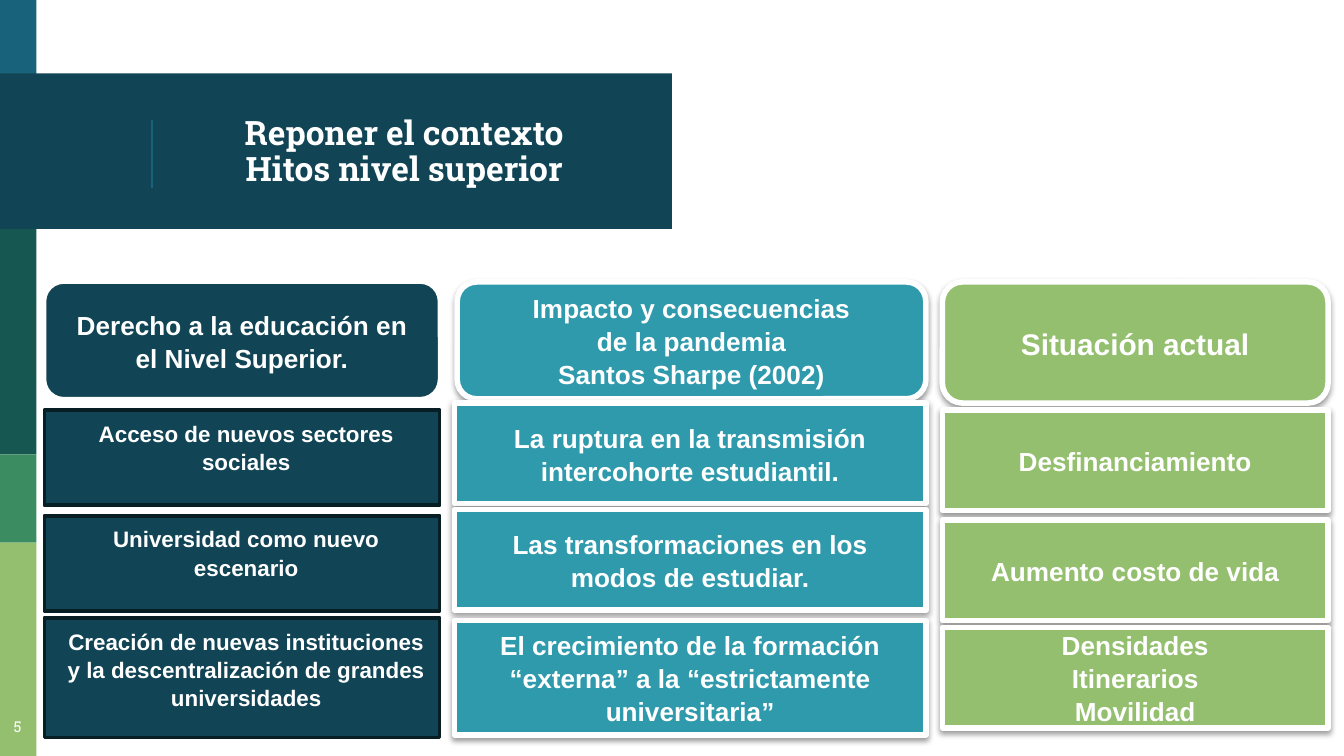
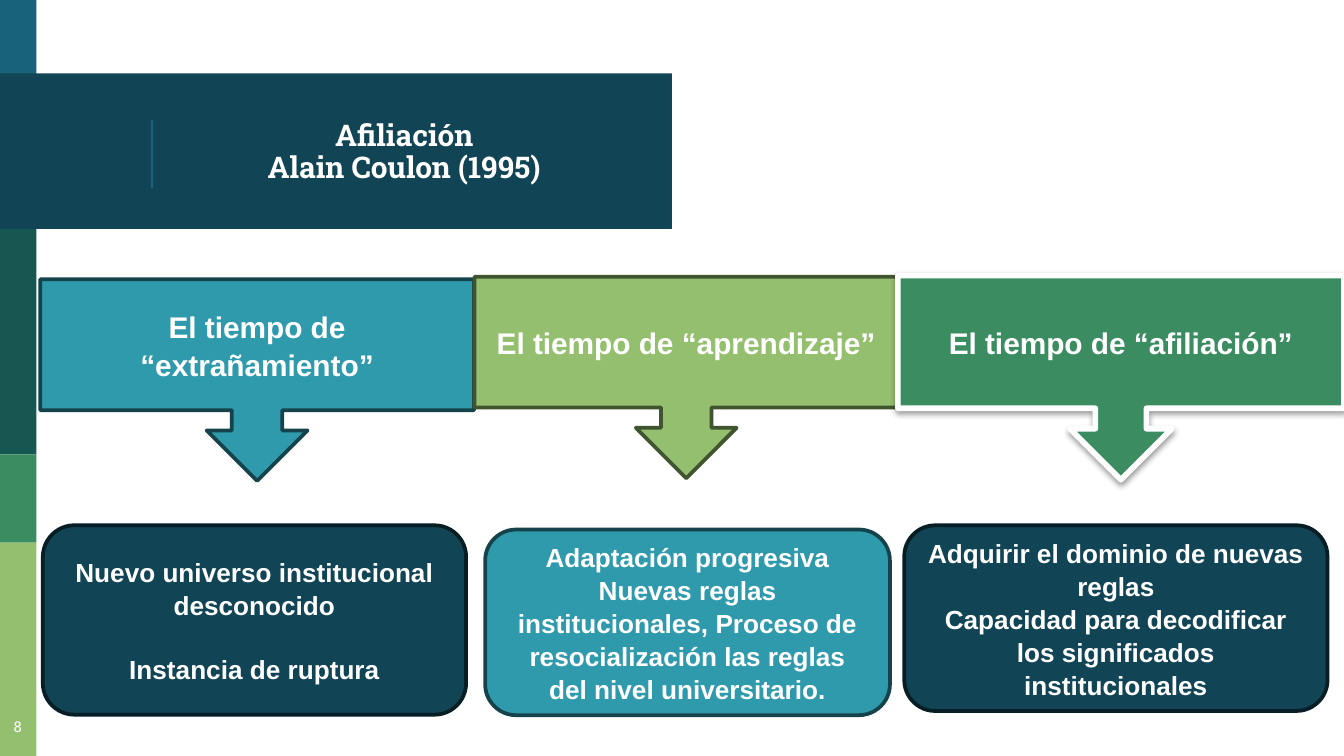
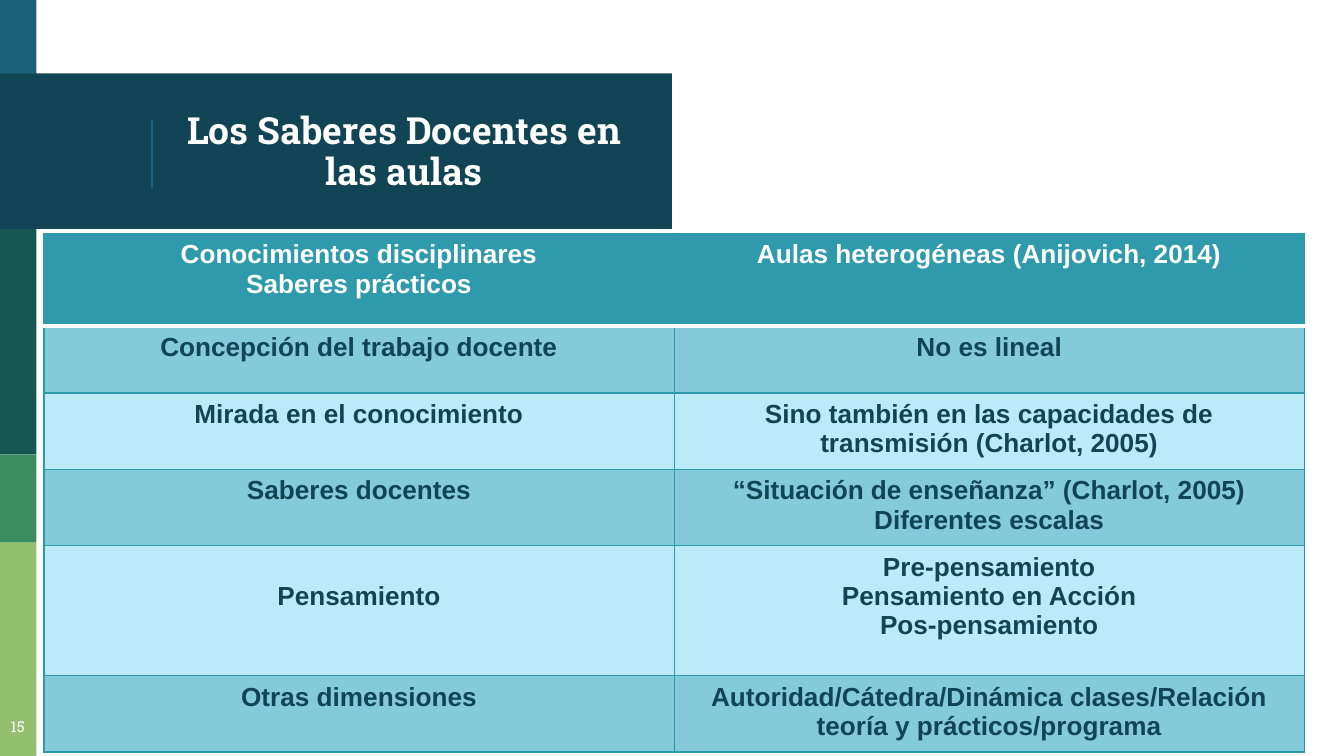
from dataclasses import dataclass

from lxml import etree
from pptx import Presentation
from pptx import util as u
from pptx.dml.color import RGBColor
from pptx.enum import shapes, text
from pptx.oxml.ns import qn
from pptx.slide import Slide, SlideLayout

# Colours
WHITE = RGBColor(0xFF, 0xFF, 0xFF)
OCEAN = RGBColor(0x18, 0x63, 0x7B)
NAVY = RGBColor(0x11, 0x44, 0x54)
NAVY_EDGE = RGBColor(0x07, 0x1E, 0x25)
PINE = RGBColor(0x16, 0x57, 0x51)
GREEN = RGBColor(0x3B, 0x8D, 0x61)
LIME = RGBColor(0x94, 0xBF, 0x6E)
LIME_EDGE = RGBColor(0x41, 0x54, 0x30)
TEAL = RGBColor(0x30, 0x9A, 0xAD)
TEAL_EDGE = RGBColor(0x15, 0x43, 0x4C)
GRID = RGBColor(0x2C, 0x99, 0xAC)
ROW_DARK = RGBColor(0x84, 0xCA, 0xDB)
ROW_LIGHT = RGBColor(0xBC, 0xEA, 0xF9)

# Fonts
BODY_FONT = "Arial"
TITLE_FONT = "Roboto Slab"

RECT = shapes.MSO_SHAPE.RECTANGLE
ROUNDED = shapes.MSO_SHAPE.ROUNDED_RECTANGLE
CALLOUT = shapes.MSO_SHAPE.DOWN_ARROW_CALLOUT


@dataclass(frozen=True)
class Look:
    fill: RGBColor
    edge: RGBColor
    edge_width: float = 2
    shadow: bool = False


@dataclass(frozen=True)
class Block:
    """A filled shape with centred text; lengths in centimetres."""
    left: float
    top: float
    width: float
    height: float
    wording: str
    look: Look
    preset: int = RECT
    size: float = 14
    gap: float = 0
    pinned_top: bool = False


@dataclass(frozen=True)
class Strip:
    top: float
    height: float
    fill: RGBColor
    width: float = 0.69


NAVY_LOOK = Look(NAVY, NAVY_EDGE)
NAVY_HEAD = Look(NAVY, WHITE)
TEAL_LOOK = Look(TEAL, TEAL_EDGE)
LIME_LOOK = Look(LIME, LIME_EDGE)
TEAL_RAISED = Look(TEAL, WHITE, 3, True)
LIME_RAISED = Look(LIME, WHITE, 3, True)
GREEN_RAISED = Look(GREEN, WHITE, 3, True)

STRIPS = [
    Strip(0, 1.47, OCEAN),
    Strip(1.39, 2.94, NAVY, 12.7),
    Strip(4.33, 4.26, PINE),
    Strip(8.59, 1.67, GREEN),
    Strip(10.26, 4.03, LIME),
]


def style_text(frame: text, size: float, color: RGBColor, font: str = BODY_FONT,
               bold: bool = True, spacing: float = 1.0) -> None:
    for paragraph in frame.paragraphs:
        paragraph.alignment = text.PP_ALIGN.CENTER
        paragraph.line_spacing = spacing
        for run in paragraph.runs:
            run.font.size = u.Pt(size)
            run.font.name = font
            run.font.bold = bold
            run.font.color.rgb = color


def set_margins(frame: text, margin: float) -> None:
    frame.margin_left = frame.margin_right = u.Cm(margin)
    frame.margin_top = frame.margin_bottom = u.Cm(margin)


def add_shadow(effects: etree.ElementBase) -> None:
    shadow = etree.SubElement(effects, qn("a:outerShdw"), blurRad="40000",
                              dist="20000", dir="5400000", rotWithShape="0")
    black = etree.SubElement(shadow, qn("a:srgbClr"), val="000000")
    etree.SubElement(black, qn("a:alpha"), val="38000")


def add_block(slide: Slide, block: Block) -> None:
    shape = slide.shapes.add_shape(block.preset, u.Cm(block.left), u.Cm(block.top),
                                   u.Cm(block.width), u.Cm(block.height))
    shape.fill.solid()
    shape.fill.fore_color.rgb = block.look.fill
    shape.line.color.rgb = block.look.edge
    shape.line.width = u.Pt(block.look.edge_width)
    shape.shadow.inherit = False
    if block.look.shadow:
        add_shadow(shape._element.spPr.find(qn("a:effectLst")))

    frame = shape.text_frame
    frame.word_wrap = True
    frame.vertical_anchor = text.MSO_ANCHOR.MIDDLE
    if block.pinned_top:
        frame.vertical_anchor = text.MSO_ANCHOR.TOP
        frame.margin_top = u.Cm(0.16)
        frame.margin_left = u.Cm(0.41)
    frame.text = block.wording
    style_text(frame, block.size, WHITE, spacing=1.05)
    if block.gap:
        for paragraph in frame.paragraphs[1:]:
            paragraph.space_before = u.Pt(block.gap)


def move_frame_to_layout(slide: Slide, layout: SlideLayout) -> None:
    """Draw the side strips, title band and rule, and share them by the layout."""
    parts = []
    for strip in STRIPS:
        band = slide.shapes.add_shape(RECT, 0, u.Cm(strip.top),
                                      u.Cm(strip.width), u.Cm(strip.height))
        band.fill.solid()
        band.fill.fore_color.rgb = strip.fill
        band.line.fill.background()
        band.shadow.inherit = False
        parts.append(band)
    rule = slide.shapes.add_connector(shapes.MSO_CONNECTOR.STRAIGHT, u.Cm(2.87),
                                      u.Cm(2.26), u.Cm(2.87), u.Cm(3.56))
    rule.line.color.rgb = OCEAN
    rule.line.width = u.Pt(0.75)
    etree.SubElement(rule._element.spPr, qn("a:effectLst"))
    parts.append(rule)
    for part in parts:
        layout.shapes._spTree.append(part._element)


def add_slide(deck: Presentation, layout: SlideLayout, heading: str,
              size: float, number: int) -> Slide:
    slide = deck.slides.add_slide(layout)
    title = slide.shapes.title
    title.left, title.top = u.Cm(3.18), u.Cm(1.47)
    title.width, title.height = u.Cm(8.92), u.Cm(2.84)
    frame = title.text_frame
    frame.auto_size = text.MSO_AUTO_SIZE.NONE
    frame.word_wrap = True
    frame.vertical_anchor = text.MSO_ANCHOR.MIDDLE
    set_margins(frame, 0.25)
    frame.text = heading
    style_text(frame, size, WHITE, TITLE_FONT, spacing=0.9)

    page = slide.shapes.add_textbox(u.Cm(-0.15), u.Cm(13.39), u.Cm(0.97), u.Cm(0.89))
    page.text_frame.word_wrap = True
    set_margins(page.text_frame, 0.25)
    page.text_frame.text = str(number)
    style_text(page.text_frame, 8, WHITE, TITLE_FONT, bold=False)
    return slide


# Milestones: three columns, each a heading over three blocks
RIGHTS, PANDEMIC, PRESENT = (0.84, 7.47), (8.59, 8.91), (17.81, 7.29)


def column(span: tuple, head: Block, items: list, look: Look, **options) -> list:
    left, width = span
    return [head] + [Block(left, top, width, height, wording, look, **options)
                     for top, height, wording in items]


MILESTONES = (
    column(RIGHTS,
           Block(RIGHTS[0], 5.33, RIGHTS[1], 2.21,
                 "Derecho a la educación en el Nivel Superior.", NAVY_HEAD, ROUNDED),
           [(7.75, 1.8, "Acceso de nuevos sectores sociales"),
            (9.75, 1.8, "Universidad como nuevo escenario"),
            (11.68, 2.26, "Creación de nuevas instituciones y la "
                          "descentralización de grandes universidades")],
           NAVY_LOOK, size=12, pinned_top=True)
    + column(PANDEMIC,
             Block(8.64, 5.33, 8.86, 2.21,
                   "Impacto y consecuencias\nde la pandemia\nSantos Sharpe (2002)",
                   TEAL_RAISED, ROUNDED),
             [(7.62, 1.9, "La ruptura en la transmisión intercohorte estudiantil."),
              (9.63, 1.9, "Las transformaciones en los modos de estudiar."),
              (11.73, 2.16, "El crecimiento de la formación “externa” a la "
                            "“estrictamente universitaria”")],
             TEAL_RAISED)
    + column(PRESENT,
             Block(PRESENT[0], 5.33, PRESENT[1], 2.29, "Situación actual",
                   LIME_RAISED, ROUNDED, 16),
             [(7.75, 1.9, "Desfinanciamiento"),
              (9.83, 1.9, "Aumento costo de vida"),
              (11.86, 1.9, "Densidades\nItinerarios\nMovilidad")],
             LIME_RAISED)
)

# Affiliation: three stages, each pointing to its description
STAGES = [
    Block(0.76, 5.28, 8.2, 3.81, "El tiempo de “extrañamiento”",
          TEAL_LOOK, CALLOUT, 16),
    Block(8.97, 5.23, 8, 3.81, "El tiempo de “aprendizaje”",
          LIME_LOOK, CALLOUT, 16),
    Block(16.97, 5.21, 8.43, 3.86, "El tiempo de “afiliación”",
          GREEN_RAISED, CALLOUT, 16),
    Block(0.81, 9.93, 8, 3.58,
          "Nuevo universo institucional desconocido\nInstancia de ruptura",
          NAVY_LOOK, ROUNDED, gap=17),
    Block(9.17, 10.01, 7.65, 3.51,
          "Adaptación progresiva\nNuevas reglas institucionales, Proceso de "
          "resocialización las reglas del nivel universitario.",
          TEAL_LOOK, ROUNDED),
    Block(17.09, 9.93, 8, 3.51,
          "Adquirir el dominio de nuevas reglas\n"
          "Capacidad para decodificar los significados institucionales",
          NAVY_LOOK, ROUNDED),
]

# Teaching knowledge: row height and the two cells
KNOWLEDGE = [
    (1.75, "Conocimientos disciplinares\nSaberes prácticos",
     "Aulas heterogéneas (Anijovich, 2014)"),
    (1.27, "Concepción del trabajo docente", "No es lineal"),
    (1.37, "Mirada en el conocimiento",
     "Sino también en las capacidades de transmisión (Charlot, 2005)"),
    (1.37, "Saberes docentes",
     "“Situación de enseñanza” (Charlot, 2005)\nDiferentes escalas"),
    (2.46, "Pensamiento",
     "Pre-pensamiento\nPensamiento en Acción\nPos-pensamiento"),
    (1.37, "Otras dimensiones",
     "Autoridad/Cátedra/Dinámica clases/Relación teoría y prácticos/programa"),
]


def set_borders(cell: object, row: int) -> None:
    properties = cell._tc.get_or_add_tcPr()
    white_side = {0: "lnB", 1: "lnT"}.get(row)
    for position, side in enumerate(("lnL", "lnR", "lnT", "lnB")):
        color, width = (WHITE, 2) if side == white_side else (GRID, 0.75)
        border = etree.Element(qn(f"a:{side}"), w=str(u.Pt(width)))
        fill = etree.SubElement(border, qn("a:solidFill"))
        etree.SubElement(fill, qn("a:srgbClr"), val=str(color))
        properties.insert(position, border)


def add_knowledge_table(slide: Slide) -> None:
    height = sum(row[0] for row in KNOWLEDGE)
    table = slide.shapes.add_table(len(KNOWLEDGE), 2, u.Cm(0.83), u.Cm(4.41),
                                   u.Cm(23.82), u.Cm(height)).table
    table.first_row = table.horz_banding = False
    for row, (row_height, *wordings) in enumerate(KNOWLEDGE):
        table.rows[row].height = u.Cm(row_height)
        fill = TEAL if row == 0 else ROW_DARK if row % 2 else ROW_LIGHT
        for col, wording in enumerate(wordings):
            cell = table.cell(row, col)
            cell.fill.solid()
            cell.fill.fore_color.rgb = fill
            cell.text_frame.text = wording
            style_text(cell.text_frame, 14, NAVY if row else WHITE)
            set_borders(cell, row)
    # This term lines up with the second line of its neighbour
    table.cell(4, 0).margin_top = u.Cm(0.69)


def main() -> None:
    deck = Presentation()
    deck.slide_width, deck.slide_height = u.Cm(25.4), u.Cm(14.29)
    layout = deck.slide_layouts.get_by_name("Title Only")
    for holder in list(layout.placeholders)[1:]:
        layout.shapes._spTree.remove(holder._element)

    milestones = add_slide(deck, layout,
                           "Reponer el contexto\vHitos nivel superior", 18, 5)
    move_frame_to_layout(milestones, layout)
    for block in MILESTONES:
        add_block(milestones, block)

    affiliation = add_slide(deck, layout, "Afiliación\vAlain Coulon (1995)", 16, 8)
    for block in STAGES:
        add_block(affiliation, block)

    knowledge = add_slide(deck, layout, "Los Saberes Docentes en las aulas", 20, 15)
    add_knowledge_table(knowledge)

    deck.save("out.pptx")


if __name__ == "__main__":
    main()
